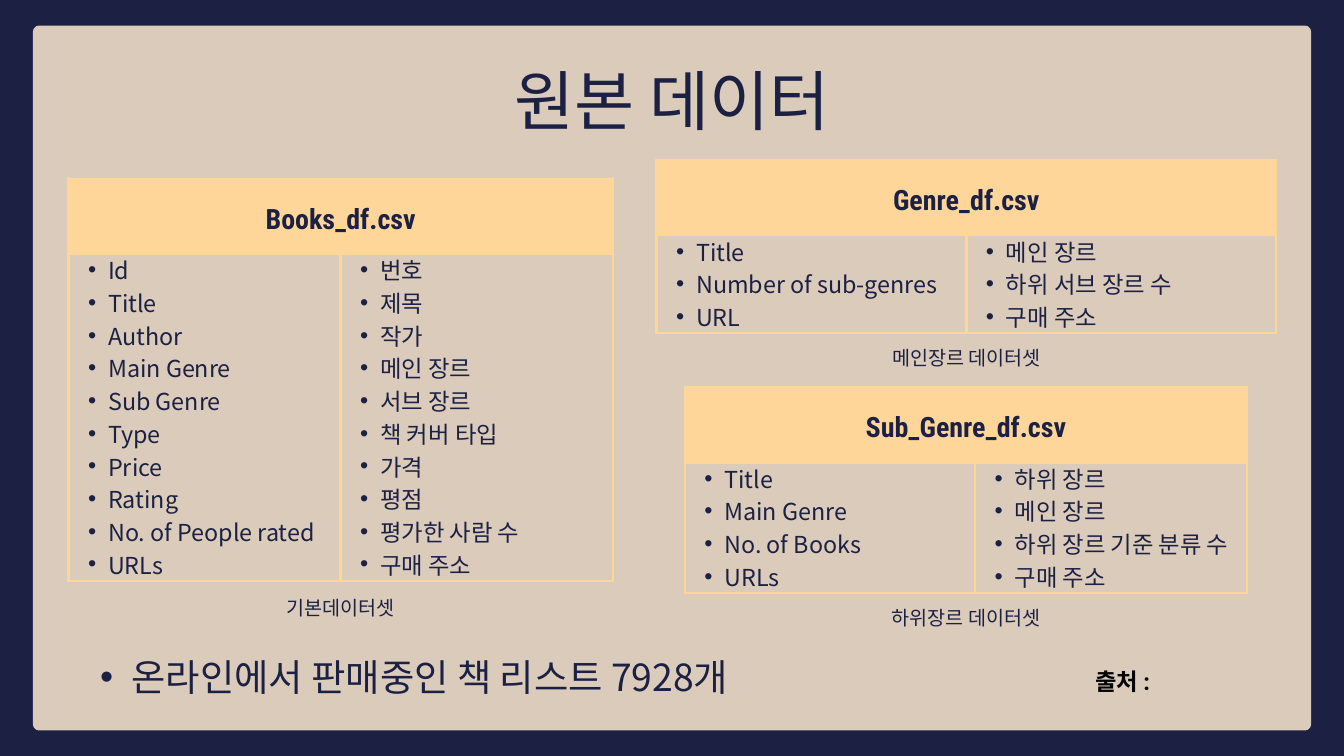
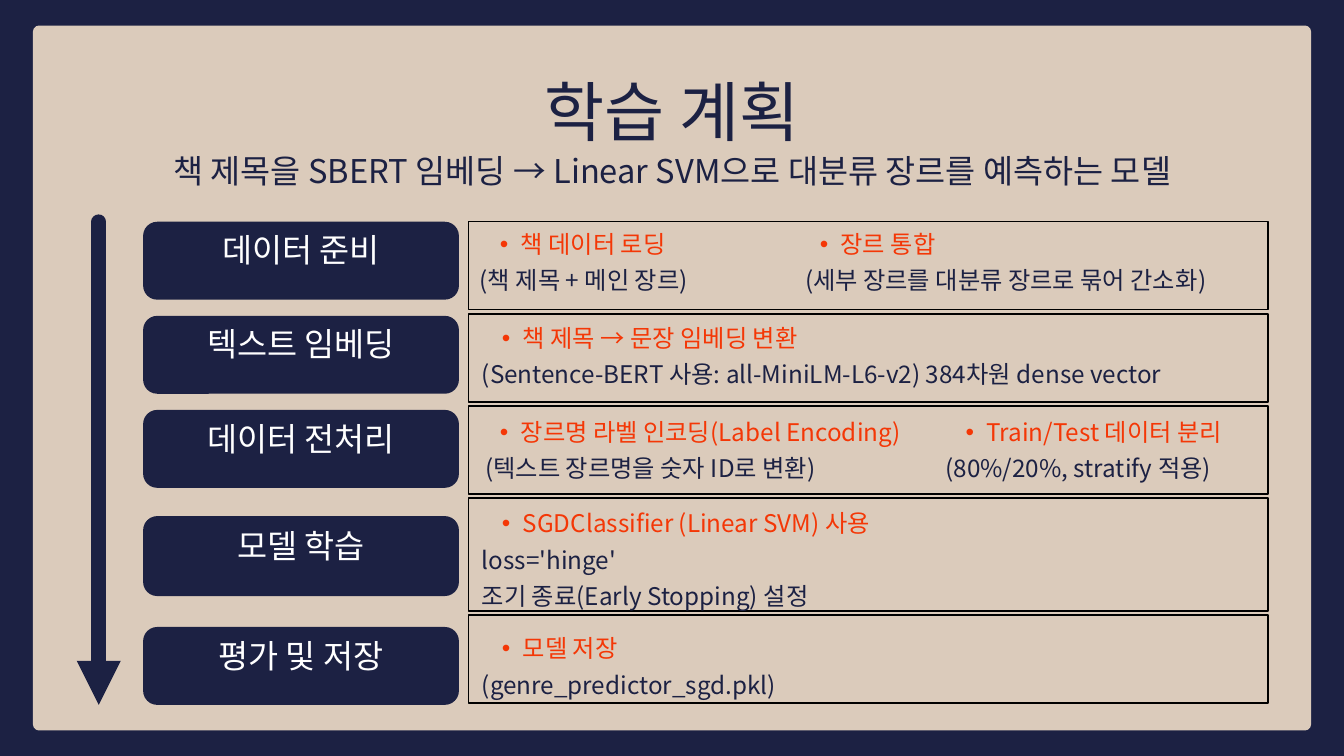
from dataclasses import dataclass, replace

from lxml import etree
from pptx import Presentation
from pptx.dml.color import RGBColor
from pptx.enum.shapes import MSO_CONNECTOR, MSO_SHAPE
from pptx.enum.text import MSO_ANCHOR, PP_ALIGN
from pptx.oxml.ns import qn
from pptx.util import Inches, Pt

NAVY = RGBColor(0x1C, 0x21, 0x43)
SAND = RGBColor(0xDB, 0xCB, 0xBB)
GOLD = RGBColor(0xFF, 0xD6, 0x99)
RED = RGBColor(0xF4, 0x37, 0x06)
WHITE = RGBColor(0xFF, 0xFF, 0xFF)
BLACK = RGBColor(0, 0, 0)

SANS = "Noto Sans CJK KR"
ROBOTO = "Roboto Condensed"

LEFT, CENTER = PP_ALIGN.LEFT, PP_ALIGN.CENTER
TOP, MIDDLE = MSO_ANCHOR.TOP, MSO_ANCHOR.MIDDLE
RECT, ROUND = MSO_SHAPE.RECTANGLE, MSO_SHAPE.ROUNDED_RECTANGLE
STRAIGHT = MSO_CONNECTOR.STRAIGHT

SIDES = ("left", "top", "right", "bottom")


@dataclass(frozen=True)
class Box:
    left: float
    top: float
    width: float
    height: float

    def lengths(self) -> list:
        return [Inches(v) for v in (self.left, self.top, self.width, self.height)]


@dataclass(frozen=True)
class Style:
    size: float
    spacing: float
    color: RGBColor = NAVY
    font: str = SANS
    bold: bool = False
    align: PP_ALIGN = LEFT
    indent: float = 0
    hang: float = 0  # width kept for the bullet; 0 means no bullet


TITLE = Style(70, 98, align=CENTER)
LEAD = Style(35, 52.5, align=CENTER)
LABEL = replace(LEAD, color=WHITE)
HEADER = Style(30, 42, font=ROBOTO, bold=True, align=CENTER)
FIELD = Style(25, 35, indent=0.59, hang=0.3)
CAPTION = Style(21, 31.5, align=CENTER)
TOTAL = Style(40, 60, indent=0.94, hang=0.47)
SOURCE = Style(25, 37.5, BLACK, ROBOTO, bold=True, align=CENTER)
POINT = Style(26, 39, RED, indent=0.61, hang=0.31)
DETAIL = Style(26, 39)


@dataclass(frozen=True)
class Dataset:
    name: str
    left: float
    top: float
    cols: tuple[float, float]
    body: float
    fields: list[str]
    meanings: list[str]
    caption: str
    below: float


@dataclass(frozen=True)
class Note:
    left: float
    width: float
    head: str
    details: list[str]
    indent: float = 0


@dataclass(frozen=True)
class Step:
    name: str
    label_top: float
    label_height: float
    note_top: float
    frame_height: float
    notes: list[Note]


DATASETS = [
    Dataset("Books_df.csv", 1.02, 2.66, (4.05, 4.05), 4.82,
            ["Id", "Title", "Author", "Main Genre", "Sub Genre", "Type",
             "Price", "Rating", "No. of People rated", "URLs"],
            ["번호", "제목", "작가", "메인 장르", "서브 장르", "책 커버 타입",
             "가격", "평점", "평가한 사람 수", "구매 주소"],
            "기본데이터셋", 8.78),
    Dataset("Genre_df.csv", 9.77, 2.38, (4.61, 4.61), 1.45,
            ["Title", "Number of sub-genres", "URL"],
            ["메인 장르", "하위 서브 장르 수", "구매 주소"],
            "메인장르 데이터셋", 5.06),
    Dataset("Sub_Genre_df.csv", 10.19, 5.76, (4.32, 4.05), 1.93,
            ["Title", "Main Genre", "No. of Books", "URLs"],
            ["하위 장르", "메인 장르", "하위 장르 기준 분류 수", "구매 주소"],
            "하위장르 데이터셋", 8.93),
]

STEPS = [
    Step("데이터 준비", 3.3, 1.16, 3.3, 1.31, [
        Note(7.14, 4.54, "책 데이터 로딩", ["(책 제목 + 메인 장르)"]),
        Note(11.9, 6.36, "장르 통합",
             ["(세부 장르를 대분류 장르로 묶어 간소화)"], 0.08)]),
    Step("텍스트 임베딩", 4.7, 1.16, 4.7, 1.31, [
        Note(7.17, 11.62, "책 제목 → 문장 임베딩 변환",
             ["(Sentence-BERT 사용: all-MiniLM-L6-v2) 384차원 dense vector"])]),
    Step("데이터 전처리", 6.1, 1.16, 6.1, 1.31, [
        Note(7.14, 6.82, "장르명 라벨 인코딩(Label Encoding)",
             ["(텍스트 장르명을 숫자 ID로 변환)"], 0.08),
        Note(14.07, 5.04, "Train/Test 데이터 분리", ["(80%/20%, stratify 적용)"])]),
    Step("모델 학습", 7.68, 1.19, 7.46, 1.68, [
        Note(7.17, 6.79, "SGDClassifier (Linear SVM) 사용",
             ["loss='hinge'", "조기 종료(Early Stopping) 설정"])]),
    Step("평가 및 저장", 9.33, 1.16, 9.32, 1.31, [
        Note(7.17, 6.35, "모델 저장", ["(genre_predictor_sgd.pkl)"])]),
]

HEAD_ROW = 1.12
FRAME_TOP, FRAME_GAP = 3.3, 0.06
LABEL_RISE = 0.47


def apply(target, values: dict) -> None:
    for name, value in values.items():
        setattr(target, name, value)


def write(frame, lines: list[tuple[str, Style]]) -> None:
    """Fill a text frame with one styled paragraph per line."""
    for i, (text, style) in enumerate(lines):
        para = frame.paragraphs[0] if i == 0 else frame.add_paragraph()
        apply(para, {"alignment": style.align, "line_spacing": Pt(style.spacing)})
        props = para._p.get_or_add_pPr()
        props.set("marL", str(Inches(style.indent)))
        props.set("indent", str(Inches(-style.hang)))
        if style.hang:
            para.level = 1
            etree.SubElement(props, qn("a:buFont"), typeface="Arial")
            etree.SubElement(props, qn("a:buChar"), char="•")
        run = para.add_run()
        run.text = text
        apply(run.font, {"size": Pt(style.size), "bold": style.bold,
                         "name": style.font})
        run.font.color.rgb = style.color
        etree.SubElement(run._r.get_or_add_rPr(), qn("a:ea"), typeface=style.font)


def add_text(slide, box: Box, lines: list[tuple[str, Style]],
             anchor=TOP, inset: float = 0) -> None:
    frame = slide.shapes.add_textbox(*box.lengths()).text_frame
    apply(frame, {"word_wrap": True, "vertical_anchor": anchor})
    apply(frame, {f"margin_{side}": Inches(inset) for side in SIDES})
    write(frame, lines)


def add_panel(slide, box: Box, fill: RGBColor, radius: float) -> None:
    shape = slide.shapes.add_shape(ROUND, *box.lengths())
    shape.shadow.inherit = False
    shape.adjustments[0] = radius / box.height
    shape.fill.solid()
    shape.fill.fore_color.rgb = fill
    shape.line.fill.background()


def add_frame(slide, box: Box) -> None:
    shape = slide.shapes.add_shape(RECT, *box.lengths())
    shape.shadow.inherit = False
    shape.fill.background()
    shape.line.color.rgb = BLACK
    shape.line.width = Pt(1.5)


def add_arrow(slide, x: float, top: float, end: float) -> None:
    arrow = slide.shapes.add_connector(
        STRAIGHT, Inches(x), Inches(top), Inches(x), Inches(end))
    arrow.line.color.rgb = NAVY
    arrow.line.width = Pt(15.75)
    line = arrow.line._get_or_add_ln()
    line.set("cap", "rnd")
    etree.SubElement(line, qn("a:tailEnd"), type="triangle")
    etree.SubElement(arrow._element.spPr, qn("a:effectLst"))


def set_cell(cell, lines: list[tuple[str, Style]], fill: RGBColor | None) -> None:
    apply(cell, {f"margin_{side}": 0 for side in SIDES})
    cell.vertical_anchor = MIDDLE
    write(cell.text_frame, lines)
    style_cell(cell, fill)


def style_cell(cell, fill: RGBColor | None) -> None:
    """Set the borders, which must come before the fill in the XML."""
    props = cell._tc.get_or_add_tcPr()
    for tag in ("a:lnL", "a:lnR", "a:lnT", "a:lnB"):
        edge = etree.SubElement(props, qn(tag), w=str(Pt(3)))
        solid = etree.SubElement(edge, qn("a:solidFill"))
        etree.SubElement(solid, qn("a:srgbClr"), val=str(GOLD))
    if fill is None:
        cell.fill.background()
    else:
        cell.fill.solid()
        cell.fill.fore_color.rgb = fill


def add_dataset(slide, data: Dataset) -> None:
    width = sum(data.cols)
    box = Box(data.left, data.top, width, HEAD_ROW + data.body)
    table = slide.shapes.add_table(2, 2, *box.lengths()).table
    apply(table, {"first_row": False, "horz_banding": False})
    for col, size in zip(table.columns, data.cols):
        col.width = Inches(size)
    for row, size in zip(table.rows, (HEAD_ROW, data.body)):
        row.height = Inches(size)
    table.cell(0, 0).merge(table.cell(0, 1))
    set_cell(table.cell(0, 0), [(data.name, HEADER)], GOLD)
    style_cell(table.cell(0, 1), GOLD)
    for i, words in enumerate((data.fields, data.meanings)):
        set_cell(table.cell(1, i), [(word, FIELD) for word in words], None)
    middle = data.left + width / 2
    add_text(slide, Box(middle - 1.14, data.below, 2.28, 0.42),
             [(data.caption, CAPTION)])


def add_step(slide, step: Step, frame_top: float) -> None:
    label = Box(2.13, step.label_top, 4.7, step.label_height)
    add_panel(slide, label, NAVY, 0.21)
    raised = replace(label, top=label.top - LABEL_RISE,
                     height=label.height + LABEL_RISE)
    add_text(slide, raised, [(step.name, LABEL)], MIDDLE, 0.06)
    add_frame(slide, Box(6.97, frame_top, 11.9, step.frame_height))
    for note in step.notes:
        detail = replace(DETAIL, indent=note.indent)
        lines = [(note.head, POINT)] + [(text, detail) for text in note.details]
        add_text(slide, Box(note.left, step.note_top, note.width, 0.54 * len(lines)),
                 lines)


def add_page(deck, title: str, top: float):
    """Add a slide with the shared background, panel and title."""
    slide = deck.slides.add_slide(deck.slide_layouts[6])
    slide.background.fill.solid()
    slide.background.fill.fore_color.rgb = NAVY
    add_panel(slide, Box(0.49, 0.38, 19.02, 10.49), SAND, 0.09)
    add_text(slide, Box(6.48, top, 7.04, 1.32), [(title, TITLE)])
    return slide


def build_data(deck) -> None:
    slide = add_page(deck, "원본 데이터", 0.7)
    for data in DATASETS:
        add_dataset(slide, data)
    add_text(slide, Box(1.02, 9.57, 10.47, 0.79),
             [("온라인에서 판매중인 책 리스트 7928개", TOTAL)])
    add_text(slide, Box(16.23, 9.83, 0.95, 0.5), [("출처 :", SOURCE)])


def build_plan(deck) -> None:
    slide = add_page(deck, "학습 계획", 0.87)
    add_text(slide, Box(1.47, 2.1, 17.07, 0.7),
             [("책 제목을 SBERT 임베딩 → Linear SVM으로 대분류 장르를 예측하는 모델",
               LEAD)])
    add_arrow(slide, 1.47, 3.3, 10.49)
    top = FRAME_TOP
    for step in STEPS:
        add_step(slide, step, top)
        top += step.frame_height + FRAME_GAP


def main() -> None:
    deck = Presentation()
    apply(deck, {"slide_width": Inches(20), "slide_height": Inches(11.25)})
    build_data(deck)
    build_plan(deck)
    deck.save("out.pptx")


if __name__ == "__main__":
    main()
